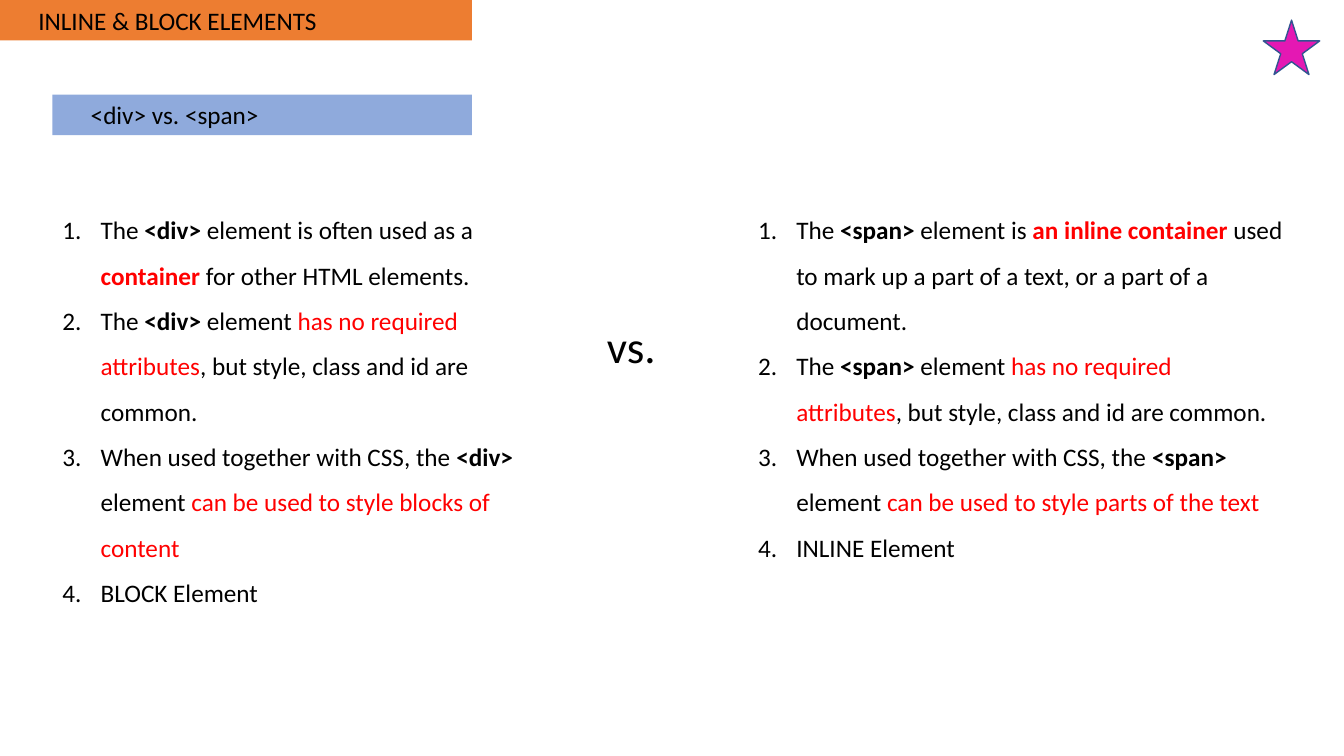
from lxml.etree import SubElement
from pptx import Presentation
from pptx.dml.color import RGBColor
from pptx.enum.shapes import MSO_SHAPE
from pptx.enum.text import MSO_ANCHOR, MSO_AUTO_SIZE, PP_ALIGN
from pptx.oxml.ns import qn
from pptx.util import Inches, Pt

BLACK = RGBColor(0x00, 0x00, 0x00)
RED = RGBColor(0xFF, 0x00, 0x00)
ORANGE = RGBColor(0xED, 0x7D, 0x31)
BLUE = RGBColor(0x8F, 0xAA, 0xDC)
PINK = RGBColor(0xE4, 0x18, 0xB3)
NAVY = RGBColor(0x32, 0x54, 0x91)

PLAIN = {"color": BLACK, "bold": False}
BOLD = {"color": BLACK, "bold": True}
MARK = {"color": RED, "bold": False}
STRONG = {"color": RED, "bold": True}

TITLE = "INLINE & BLOCK ELEMENTS"
SUBTITLE = "<div> vs. <span>"
VERSUS = "vs."
INDENT = 0.38


def shared_points(tag, use, kind):
    """Return the points that both elements have in common, in their own words."""
    return [
        [("The ", PLAIN), (tag + " ", BOLD), ("element ", PLAIN),
         ("has no required attributes", MARK),
         (", but style, class and id are common.", PLAIN)],
        [("When used together with CSS, the ", PLAIN), (tag + " ", BOLD),
         ("element ", PLAIN), ("can be used to style " + use, MARK)],
        [(kind + " Element", PLAIN)],
    ]


DIV_POINTS = [
    [("The ", PLAIN), ("<div>", BOLD), (" element is often used as a ", PLAIN),
     ("container", STRONG), (" for other HTML elements.", PLAIN)],
] + shared_points("<div>", "blocks of content", "BLOCK")
SPAN_POINTS = [
    [("The ", PLAIN), ("<span> ", BOLD), ("element is ", PLAIN),
     ("an inline container ", STRONG),
     ("used to mark up a part of a text, or a part of a document.", PLAIN)],
] + shared_points("<span>", "parts of the text", "INLINE")

# left, top, width, height, points
COLUMNS = [(0.52, 1.93, 5.17, 4.14, DIV_POINTS),
           (7.42, 1.93, 5.4, 3.69, SPAN_POINTS)]


def add_run(p, text, size=18, color=BLACK, bold=False):
    r = p.add_run()
    r.text = text
    for name, value in {"name": "Calibri", "size": Pt(size), "bold": bold}.items():
        setattr(r.font, name, value)
    r.font.color.rgb = color


def format_banner(sp, left, top, width, color, text):
    for name, value in {"left": left, "top": top, "width": width, "height": 0.4}.items():
        setattr(sp, name, Inches(value))
    sp.fill.solid()
    sp.fill.fore_color.rgb = color
    tf = sp.text_frame
    settings = {"word_wrap": True, "auto_size": MSO_AUTO_SIZE.NONE,
                "vertical_anchor": MSO_ANCHOR.MIDDLE, "margin_left": Inches(INDENT),
                "margin_top": Inches(0.05), "margin_bottom": Inches(0.05)}
    for name, value in settings.items():
        setattr(tf, name, value)
    p = tf.paragraphs[0]
    p.alignment = PP_ALIGN.LEFT
    add_run(p, text)


def add_text_frame(s, *box):
    tf = s.shapes.add_textbox(*map(Inches, box)).text_frame
    tf.word_wrap = True
    return tf


def add_numbered_list(s, left, top, width, height, points):
    tf = add_text_frame(s, left, top, width, height)
    for i, point in enumerate(points):
        p = tf.add_paragraph() if i else tf.paragraphs[0]
        p.line_spacing = 1.5
        pPr = p._p.get_or_add_pPr()
        pPr.set("marL", str(Inches(INDENT)))
        pPr.set("indent", str(-Inches(INDENT)))
        SubElement(pPr, qn("a:buFont"), typeface="+mj-lt")
        SubElement(pPr, qn("a:buAutoNum"), type="arabicPeriod")
        for text, style in point:
            add_run(p, text, **style)


def main():
    prs = Presentation()
    prs.slide_width, prs.slide_height = Inches(13.33), Inches(7.5)
    s = prs.slides.add_slide(prs.slide_layouts[5])

    format_banner(s.shapes.title, 0, 0, 4.68, ORANGE, TITLE)
    subtitle = s.shapes.add_shape(MSO_SHAPE.RECTANGLE, 0, 0, 0, 0)
    subtitle.shadow.inherit = False
    subtitle.line.fill.background()
    format_banner(subtitle, 0.52, 0.94, 4.16, BLUE, SUBTITLE)

    for column in COLUMNS:
        add_numbered_list(s, *column)
    add_run(add_text_frame(s, 5.92, 3.11, 0.81, 0.64).paragraphs[0], VERSUS, size=32)

    star = s.shapes.add_shape(MSO_SHAPE.STAR_5_POINT,
                              *map(Inches, (12.53, 0.2, 0.56, 0.54)))
    star.shadow.inherit = False
    star.fill.solid()
    star.fill.fore_color.rgb = PINK
    star.line.color.rgb = NAVY
    star.line.width = Pt(1)

    prs.save("out.pptx")


if __name__ == "__main__":
    main()
